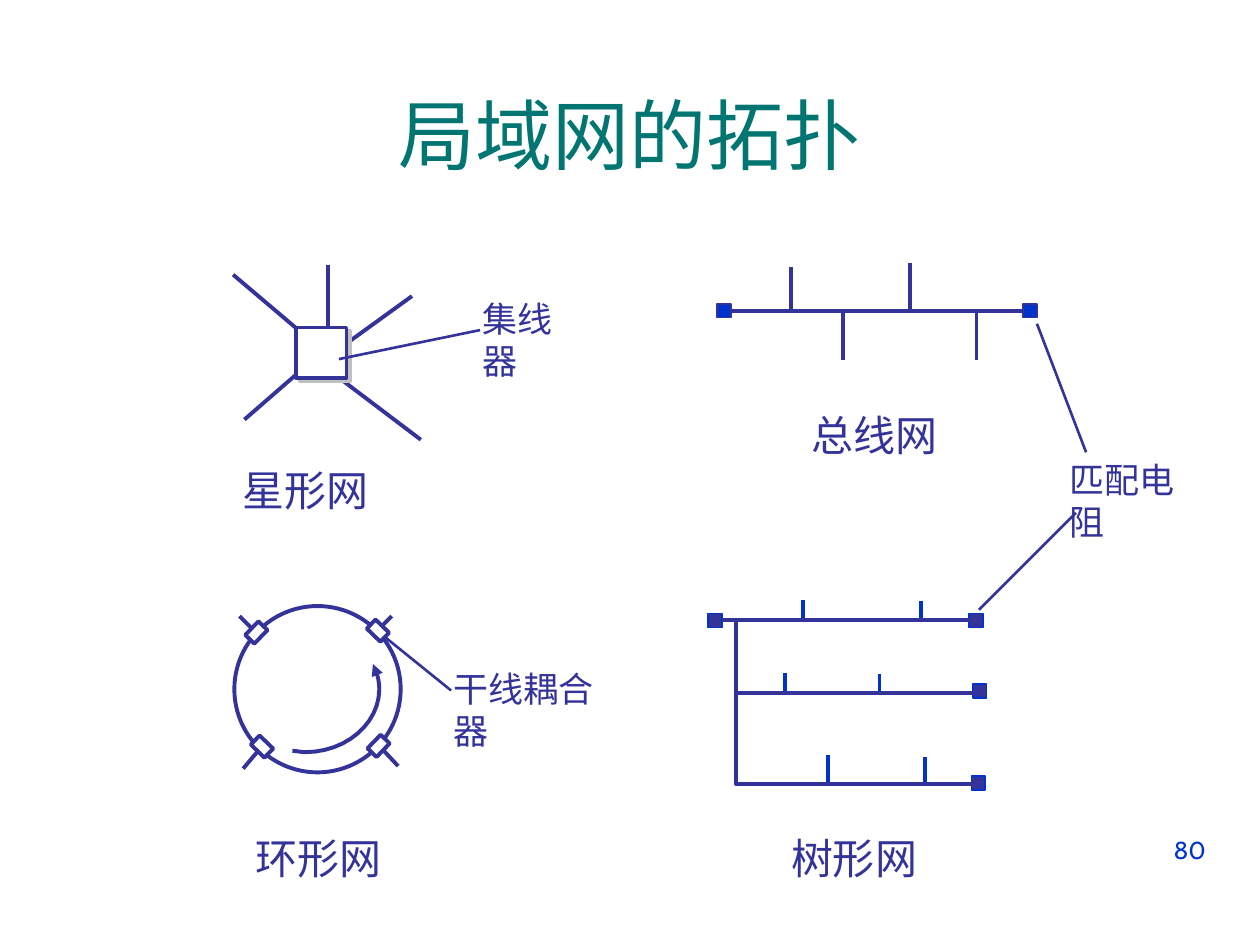
from lxml.etree import SubElement
from pptx import Presentation
from pptx.dml.color import RGBColor
from pptx.enum.shapes import MSO_CONNECTOR, MSO_SHAPE
from pptx.enum.text import MSO_ANCHOR, PP_ALIGN
from pptx.oxml.ns import qn
from pptx.util import Inches, Pt

INDIGO = RGBColor(0x33, 0x33, 0x99)
BLUE = RGBColor(0x00, 0x33, 0xCC)
TEAL = RGBColor(0x00, 0x75, 0x72)
WHITE = RGBColor(0xFF, 0xFF, 0xFF)
CALLOUT = 1.5
TERMINATOR = 0.11


def place(box, x, y):
    """Turn an offset within a box (left, top) into slide lengths."""
    return Inches(box[0] + x), Inches(box[1] + y)


def add_line(slide, box, start, end, width=2.25, color=INDIGO):
    line = slide.shapes.add_connector(
        MSO_CONNECTOR.STRAIGHT, *place(box, *start), *place(box, *end))
    line.line.color.rgb = color
    line.line.width = Pt(width)
    SubElement(line._element.spPr, qn("a:effectLst"))


def add_node(slide, box, x, y, width, height, fill=WHITE, line=INDIGO,
             weight=2.25, kind=MSO_SHAPE.RECTANGLE):
    node = slide.shapes.add_shape(
        kind, *place(box, x, y), Inches(width), Inches(height))
    node.shadow.inherit = False
    node.fill.solid()
    node.fill.fore_color.rgb = fill
    node.line.color.rgb = line
    node.line.width = Pt(weight)
    return node


def add_path(slide, box, points):
    first, *rest = [place(box, *point) for point in points]
    builder = slide.shapes.build_freeform(*first)
    builder.add_line_segments(rest, close=False)
    path = builder.convert_to_shape()
    path.shadow.inherit = False
    path.fill.background()
    path.line.color.rgb = INDIGO
    path.line.width = Pt(2.25)
    return path


def add_text(slide, box, x, y, width, text, size, font, color=INDIGO,
             align=PP_ALIGN.LEFT):
    frame = slide.shapes.add_textbox(
        *place(box, x, y), Inches(width), Inches(0.5)).text_frame
    frame.word_wrap = True
    paragraph = frame.paragraphs[0]
    paragraph.text = text
    paragraph.alignment = align
    paragraph.font.size = Pt(size)
    paragraph.font.name = font
    paragraph.font.color.rgb = color


def add_name(slide, box, x, y, text):
    add_text(slide, box, x, y, 1.37, text, 24, "Noto Sans CJK SC")


def add_part_label(slide, box, x, y, width, text):
    add_text(slide, box, x, y, width, text, 20, "Times New Roman")


def curve(start, *segments, steps=12):
    """Sample points along joined cubic Bezier segments."""
    points = [start]
    for a, b, end in segments:
        origin = points[-1]
        for step in range(1, steps + 1):
            t = step / steps
            u = 1 - t
            points.append(tuple(
                u**3 * p + 3 * u * u * t * q + 3 * u * t * t * r + t**3 * s
                for p, q, r, s in zip(origin, a, b, end)))
    return points


def add_star(slide, box):
    spokes = [((0.64, 0.58), (0.05, 0.08)), ((0.8, 0.58), (0.8, 0)),
              ((0.6, 0.83), (0.14, 1.23)), ((0.8, 0.83), (1.54, 1.39)),
              ((0.89, 0.67), (1.47, 0.25))]
    for start, end in spokes:
        add_line(slide, box, start, end)

    # Hub with an offset grey shadow
    hub = add_node(slide, box, 0.55, 0.5, 0.4, 0.4, weight=2)
    effects = hub._element.spPr.find(qn("a:effectLst"))
    shadow = SubElement(effects, qn("a:outerShdw"),
                        dist=str(Pt(2.8)), dir="2700000", algn="ctr")
    SubElement(shadow, qn("a:srgbClr"), val="C0C0C0")

    add_line(slide, box, (0.89, 0.75), (2.01, 0.52), CALLOUT)
    add_part_label(slide, box, 1.93, 0.21, 1, "集线器")
    add_name(slide, box, 0.03, 1.54, "星形网")


def add_bus(slide, box):
    trunk = 0.47
    add_line(slide, box, (0.21, trunk), (2.57, trunk))
    for x in (0.09, 2.52):
        add_node(slide, box, x, 0.41, TERMINATOR, TERMINATOR, BLUE, weight=1)
    for x, end in ((0.68, 0.12), (1.09, 0.86), (1.62, 0.09), (2.15, 0.86)):
        add_line(slide, box, (x, trunk), (x, end))
    add_name(slide, box, 0.74, 1.2, "总线网")


def add_ring(slide, box):
    # Station leads, then the ring over their inner ends
    leads = [((0.23, 0.22), (0.1, 0.09)), ((1.31, 0.09), (1.19, 0.21)),
             ((1.36, 1.28), (1.21, 1.12)), ((0.24, 1.17), (0.13, 1.3))]
    for start, end in leads:
        add_line(slide, box, start, end)
    add_node(slide, box, 0.06, 0.01, 1.32, 1.32, kind=MSO_SHAPE.OVAL)

    # Couplers
    for x, y, width, height in ((0.16, 0.17, 0.15, 0.1), (1.13, 1.07, 0.15, 0.1),
                                (1.15, 0.13, 0.1, 0.15), (0.23, 1.05, 0.1, 0.15)):
        add_node(slide, box, x, y, width, height).rotation = 314
    add_line(slide, box, (1.26, 0.26), (1.78, 0.68), CALLOUT)
    add_part_label(slide, box, 1.7, 0.45, 1.55, "干线耦合器")

    # Direction of travel
    direction = add_path(slide, box, curve(
        (0.52, 1.16),
        ((0.56, 1.16), (0.59, 1.17), (0.62, 1.17)),
        ((0.95, 1.17), (1.21, 0.94), (1.21, 0.67)),
        ((1.21, 0.6), (1.19, 0.53), (1.16, 0.47))))
    SubElement(direction.line._get_or_add_ln(), qn("a:tailEnd"), type="triangle")
    add_name(slide, box, 0.13, 1.76, "环形网")


def add_tree(slide, box):
    for x, y in ((2.11, 1.46), (2.09, 0.17), (2.12, 0.73), (0.02, 0.17)):
        add_node(slide, box, x, y, TERMINATOR, TERMINATOR, INDIGO, BLUE, 1)

    # Branches with their taps: y, left, right, then (x, height) of each tap
    branches = [(0.22, 0.13, 2.12, ((0.77, 0.16), (1.71, 0.15))),
                (0.8, 0.26, 2.2, ((0.63, 0.16), (1.38, 0.15))),
                (1.52, None, None, ((0.97, 0.23), (1.74, 0.21)))]
    for y, left, right, taps in branches:
        for x, height in taps:
            add_line(slide, box, (x, y), (x, y - height), color=BLUE)
        if left is not None:
            add_line(slide, box, (left, y), (right, y))
    # Stem that turns into the lowest branch
    add_path(slide, box, [(0.24, 0.23), (0.24, 1.52), (2.14, 1.52)])
    add_name(slide, box, 0.58, 1.86, "树形网")


def add_terminator_note(slide, box):
    add_part_label(slide, box, 0.69, 1.09, 1.27, "匹配电阻")
    add_line(slide, box, (0.53, 0.07), (0.92, 1.09), CALLOUT)
    add_line(slide, box, (0.84, 1.57), (0.07, 2.34), CALLOUT)


def add_title(slide, box):
    title = slide.shapes.title
    title.left, title.top = place(box, 0, 0)
    title.width, title.height = Inches(9.34), Inches(1.25)
    title.text_frame.vertical_anchor = MSO_ANCHOR.MIDDLE
    paragraph = title.text_frame.paragraphs[0]
    paragraph.text = "局域网的拓扑"
    paragraph.alignment = PP_ALIGN.CENTER
    paragraph.font.size = Pt(44)
    paragraph.font.name = "Arial"
    paragraph.font.color.rgb = TEAL


def main():
    deck = Presentation()
    deck.slide_width, deck.slide_height = Inches(10), Inches(7.5)
    slide = deck.slides.add_slide(deck.slide_layouts[5])
    add_title(slide, (0.33, 0.44))
    add_star(slide, (1.8, 2.1))
    add_bus(slide, (5.6, 2))
    add_ring(slide, (1.8, 4.8))
    add_tree(slide, (5.6, 4.7))
    add_terminator_note(slide, (7.7, 2.5))
    # Page number
    add_text(slide, (7.17, 6.58), 0, 0, 2.5, "80", 14, "Cabin", BLUE, PP_ALIGN.RIGHT)
    deck.save("out.pptx")


if __name__ == "__main__":
    main()
